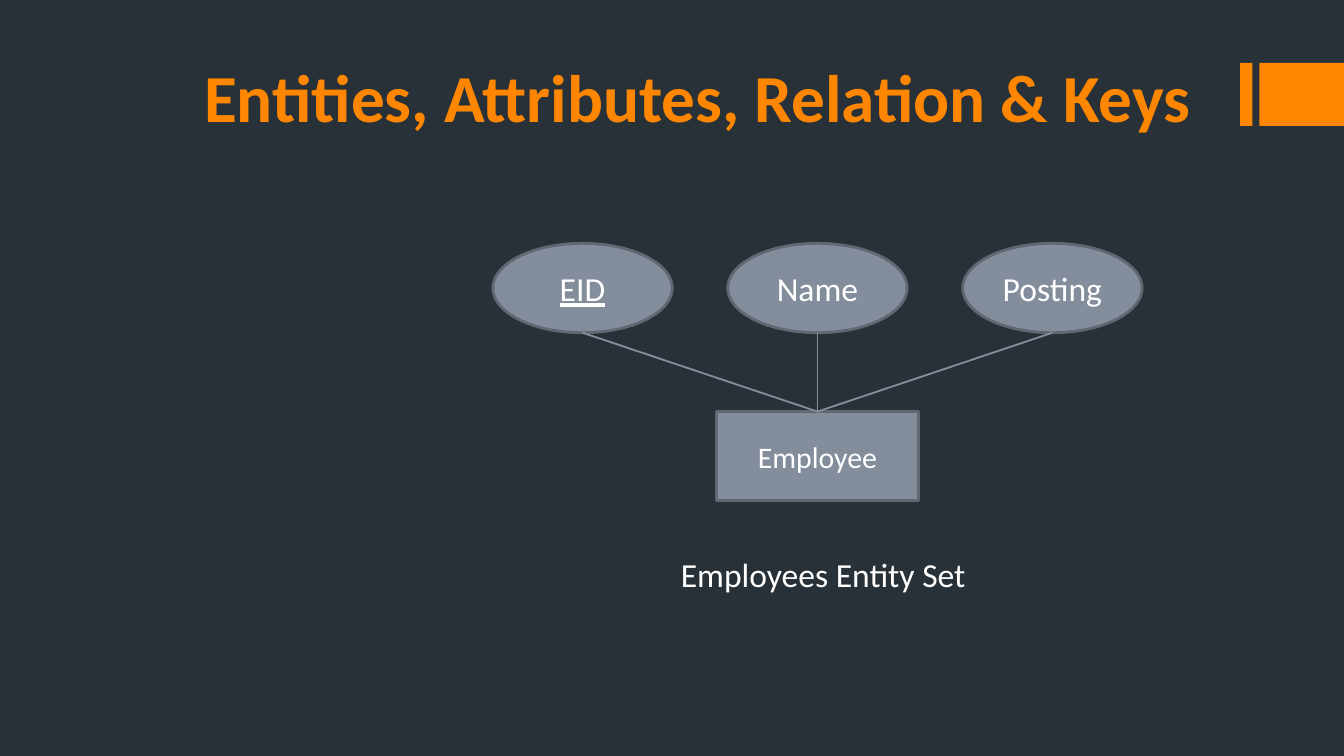
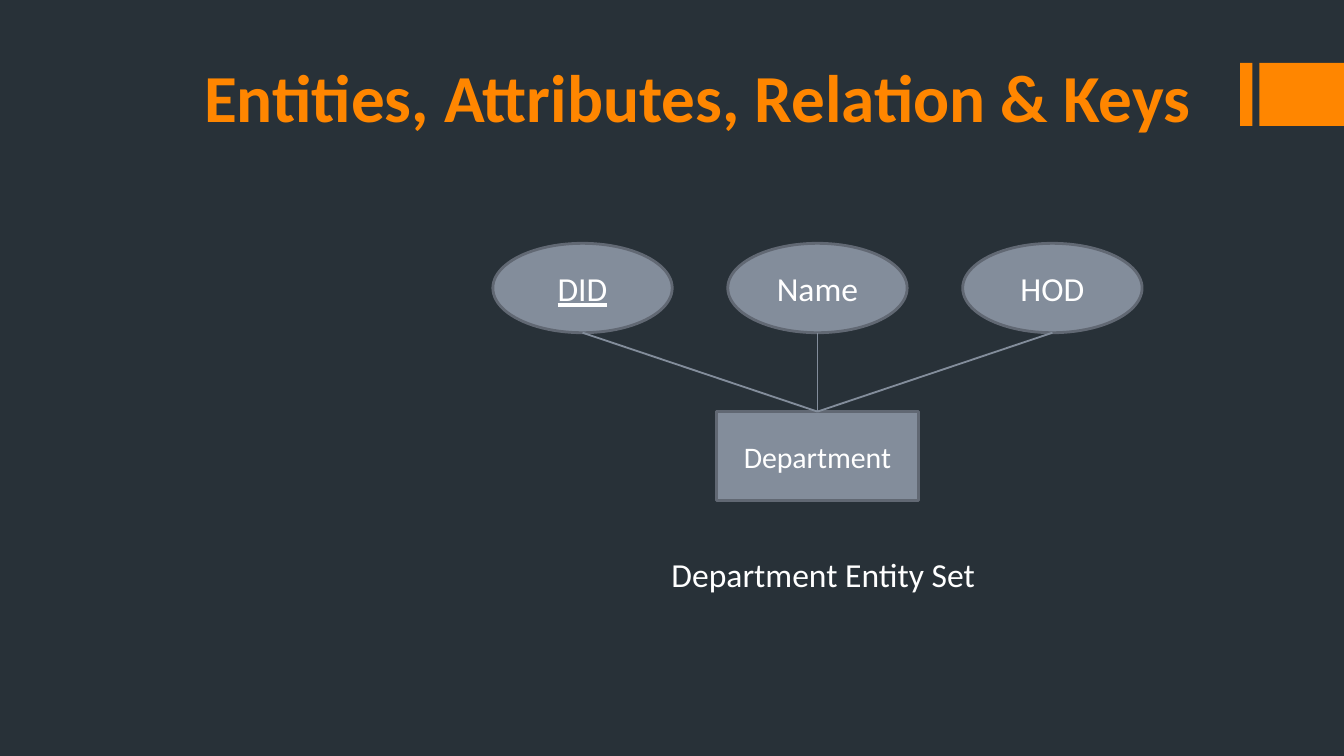
from lxml import etree
from pptx import Presentation
from pptx.dml.color import RGBColor
from pptx.enum.shapes import MSO_CONNECTOR, MSO_SHAPE
from pptx.enum.text import MSO_ANCHOR, PP_ALIGN
from pptx.oxml.ns import qn
from pptx.util import Cm, Pt

RECTANGLE, OVAL = MSO_SHAPE.RECTANGLE, MSO_SHAPE.OVAL
STRAIGHT = MSO_CONNECTOR.STRAIGHT
LEFT, CENTER = PP_ALIGN.LEFT, PP_ALIGN.CENTER
MIDDLE = MSO_ANCHOR.MIDDLE

TITLE = "Entities, Attributes, Relation & Keys"
ENTITY_SETS = [
    {"entity": "Employee", "key": "EID",
     "attributes": ["EID", "Name", "Posting"],
     "caption": "Employees Entity Set"},
    {"entity": "Department", "key": "DID",
     "attributes": ["DID", "Name", "HOD"],
     "caption": "Department Entity Set"},
]

BACKGROUND, ACCENT, WHITE = "283138", "FF8600", "FFFFFF"
NODE_FILL, NODE_EDGE = "838D9B", "616873"

TITLE_FORMAT = {"name": "Calibri", "size": Pt(36), "bold": True}
ENTITY_FORMAT = {"name": "Calibri", "size": Pt(16)}
LABEL_FORMAT = {"name": "Calibri", "size": Pt(18)}

PAGE_WIDTH, PAGE_HEIGHT = 25.4, 14.29
BAND_TOP, BAND_HEIGHT = 1.19, 1.19
BANDS = [(23.44, 0.23), (23.8, 1.6)]
TITLE_PLACE = (3.61, 1.04, 19.5, 1.55)
AXIS = 15.45
NODE_HEIGHT = 1.69
OVAL_TOP, OVAL_WIDTH, OVAL_PITCH = 4.6, 3.39, 4.44
ENTITY_TOP, ENTITY_WIDTH = 7.78, 3.81
CAPTION_AXIS, CAPTION_TOP, CAPTION_WIDTH, CAPTION_HEIGHT = 15.56, 10.34, 6.3, 1.02


def color(value):
    return RGBColor.from_string(value)


def write(box, text, values, ink=WHITE, align=CENTER):
    frame = box.text_frame
    frame.word_wrap = True
    frame.vertical_anchor = MIDDLE
    para = frame.paragraphs[0]
    para.alignment = align
    span = para.add_run()
    span.text = text
    for name, value in values.items():
        setattr(span.font, name, value)
    span.font.color.rgb = color(ink)


def add_text(page, place, *text):
    write(page.shapes.add_textbox(*map(Cm, place)), *text)


def add_block(page, kind, place, fill, edge=None):
    block = page.shapes.add_shape(kind, *map(Cm, place))
    block.shadow.inherit = False
    block.fill.solid()
    block.fill.fore_color.rgb = color(fill)
    if edge:
        block.line.color.rgb = color(edge)
        block.line.width = Pt(1.5)
    else:
        block.line.fill.background()
    return block


def add_node(page, kind, center, top, width, text, values):
    place = (center - width / 2, top, width, NODE_HEIGHT)
    write(add_block(page, kind, place, NODE_FILL, NODE_EDGE), text, values)


def add_link(page, *ends):
    link = page.shapes.add_connector(STRAIGHT, *map(Cm, ends))
    link.line.color.rgb = color(NODE_FILL)
    link.line.width = Pt(1)
    etree.SubElement(link._element.spPr, qn("a:effectLst"))


def add_page(deck):
    page = deck.slides.add_slide(deck.slide_layouts[6])
    page.background.fill.solid()
    page.background.fill.fore_color.rgb = color(BACKGROUND)
    for left, width in BANDS:
        add_block(page, RECTANGLE, (left, BAND_TOP, width, BAND_HEIGHT), ACCENT)
    add_text(page, TITLE_PLACE, TITLE, TITLE_FORMAT, ACCENT, LEFT)
    return page


def draw_entity_set(page, content):
    add_node(page, RECTANGLE, AXIS, ENTITY_TOP, ENTITY_WIDTH,
             content["entity"], ENTITY_FORMAT)
    attributes = content["attributes"]
    middle = (len(attributes) - 1) / 2
    for index, attribute in enumerate(attributes):
        center = AXIS + (index - middle) * OVAL_PITCH
        values = LABEL_FORMAT
        if attribute == content["key"]:
            values = {**LABEL_FORMAT, "underline": True}
        add_node(page, OVAL, center, OVAL_TOP, OVAL_WIDTH, attribute, values)
        add_link(page, center, OVAL_TOP + NODE_HEIGHT, AXIS, ENTITY_TOP)
    place = (CAPTION_AXIS - CAPTION_WIDTH / 2, CAPTION_TOP,
             CAPTION_WIDTH, CAPTION_HEIGHT)
    add_text(page, place, content["caption"], LABEL_FORMAT)


def main():
    deck = Presentation()
    deck.slide_width, deck.slide_height = Cm(PAGE_WIDTH), Cm(PAGE_HEIGHT)
    for content in ENTITY_SETS:
        draw_entity_set(add_page(deck), content)
    deck.save("out.pptx")


if __name__ == "__main__":
    main()
